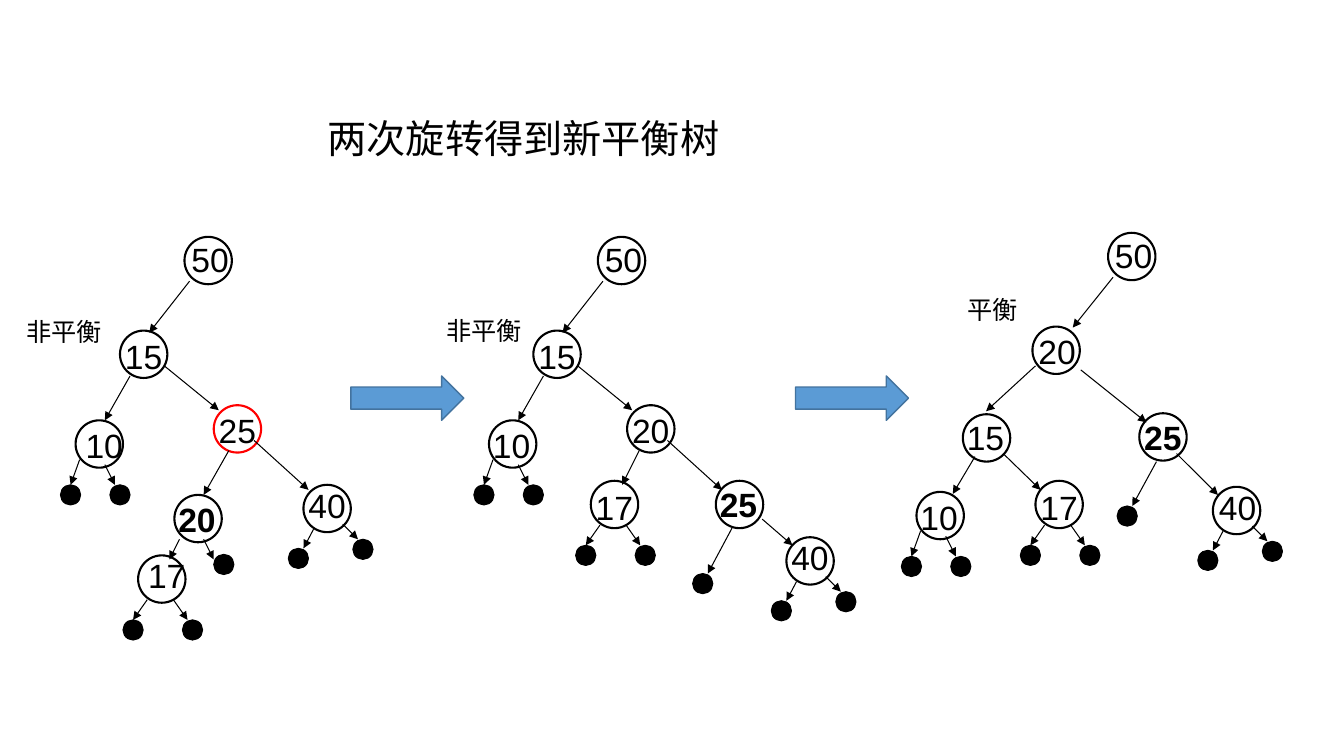
from lxml import etree
from pptx import Presentation, util as u
from pptx.dml.color import RGBColor
from pptx.enum import shapes, text
from pptx.oxml import ns

PX = 9144
BLACK, RED, BLUE, NAVY = "000000", "FF0000", "5B9BD5", "43739E"
RING, DOT = 47, 20
FORKS = {
    "10": [(-15, 64, 4, 39, -5, 64), (34, 64, 29, 44, 39, 64)],
    "17": [(-15, 64, 9, 44, -5, 64), (44, 64, 35, 44, 49, 64)],
    "40": [(-15, 63, 10, 44, 0, 63), (49, 54, 39, 39, 54, 54)],
}


def tint(code):
    return RGBColor.from_string(code)


class Sketch:
    """Draws search trees on one slide with a shared style."""

    def __init__(self):
        self.deck = Presentation()
        self.deck.slide_width, self.deck.slide_height = 1333 * PX, 750 * PX
        self.slide = self.deck.slides.add_slide(self.deck.slide_layouts[5])
        self.shapes = self.slide.shapes

    def fill_text(self, box, words, size, font="Calibri", bold=False, wrap=False):
        frame = box.text_frame
        frame.word_wrap = wrap
        frame.auto_size = text.MSO_AUTO_SIZE.SHAPE_TO_FIT_TEXT
        frame.vertical_anchor = text.MSO_ANCHOR.TOP
        para = frame.paragraphs[0]
        para.alignment = text.PP_ALIGN.LEFT
        run = para.add_run()
        run.text = words
        run.font.size, run.font.name = u.Pt(size), font
        run.font.bold = bold
        run.font.color.rgb = tint(BLACK)

    def title(self, x, y, w, h, words):
        box = self.shapes.title
        box.left, box.top, box.width, box.height = [n * PX for n in (x, y, w, h)]
        self.fill_text(box, words, 28)

    def label(self, x, y, w, h, words, size=18, **style):
        box = self.shapes.add_textbox(x * PX, y * PX, w * PX, h * PX)
        self.fill_text(box, words, size, **style)

    def shape(self, kind, x, y, w, h, fill, line, width):
        item = self.shapes.add_shape(kind, x * PX, y * PX, w * PX, h * PX)
        item.shadow.inherit = False
        if fill:
            item.fill.solid()
            item.fill.fore_color.rgb = tint(fill)
        else:
            item.fill.background()
        item.line.color.rgb = tint(line)
        item.line.width = u.Pt(width)

    def arrow(self, x, y):
        self.shape(shapes.MSO_SHAPE.RIGHT_ARROW, x, y, 112, 44, BLUE, NAVY, 1)

    def leaf(self, x, y):
        self.shape(shapes.MSO_SHAPE.OVAL, x, y, DOT, DOT, BLACK, BLACK, 0.75)

    def edge(self, x, y, end_x, end_y):
        link = self.shapes.add_connector(
            shapes.MSO_CONNECTOR.STRAIGHT, x * PX, y * PX, end_x * PX, end_y * PX)
        link.line.color.rgb = tint(BLACK)
        link.line.width = u.Pt(0.75)
        props = link.element.spPr
        etree.SubElement(props.find(ns.qn("a:ln")), ns.qn("a:tailEnd"), type="triangle")
        etree.SubElement(props, ns.qn("a:effectLst"))

    def node(self, x, y, key, dx=-5, dy=0, bold=False, ring=BLACK):
        self.shape(shapes.MSO_SHAPE.OVAL, x, y, RING, RING, None, ring, 1.5)
        self.label(x + dx, y + dy, 69, 50, key, 24, font="Arial", bold=bold, wrap=True)
        for left, top, ax, ay, bx, by in FORKS.get(key, []):
            self.leaf(x + left, y + top)
            self.edge(x + ax, y + ay, x + bx, y + by)

    def tree(self, nodes, edges, leaf):
        for item in nodes:
            self.node(*item)
        for item in edges:
            self.edge(*item)
        self.leaf(*leaf)

    def crown(self, x, key, dx, ring):
        self.node(x + 183, 235, "50", -3, -3)
        self.node(x + 119, 328, "15")
        self.node(x + 75, 417, "10", dx)
        self.node(x + 212, 402, key, ring=ring)
        for ax, ay, bx, by in [(188, 279, 148, 330), (129, 373, 104, 417),
                               (163, 363, 217, 407), (252, 437, 306, 486)]:
            self.edge(x + ax, ay, x + bx, by)


def main():
    art = Sketch()
    art.title(315, 108, 410, 57, "两次旋转得到新平衡树")

    art.crown(0, "25", 0, RED)
    art.tree(
        [(173, 491, "20", -6, -1, True), (301, 481, "40", -5, -5),
         (137, 551, "17", 0, -5)],
        [(227, 447, 202, 491), (178, 535, 168, 555), (202, 535, 212, 555)],
        (212, 550))
    art.label(16, 309, 96, 40, "非平衡")
    art.arrow(348, 373)

    art.crown(410, "20", -6, BLACK)
    art.tree(
        [(710, 477, "25", -6, -2, True), (780, 533, "40", -5, -5),
         (586, 477, "17", -5, 1)],
        [(634, 447, 617, 481), (726, 524, 702, 569), (756, 515, 786, 541)],
        (687, 569))
    art.label(433, 308, 96, 40, "非平衡")
    art.arrow(789, 373)

    art.tree(
        [(1099, 231, "50", -3, -3), (1024, 324, "20", -4, -1),
         (955, 411, "15", -6, -2), (1130, 410, "25", -5, -1, True),
         (909, 488, "10", -6), (1027, 477, "17", -5, 1),
         (1203, 483, "40", -4, -5)],
        [(1104, 275, 1064, 325), (1027, 363, 978, 408), (1072, 367, 1137, 419),
         (967, 453, 945, 490), (995, 450, 1032, 486), (1147, 458, 1123, 502),
         (1167, 450, 1208, 491)],
        (1108, 502))
    art.label(950, 287, 71, 40, "平衡")
    art.deck.save("out.pptx")


if __name__ == "__main__":
    main()
